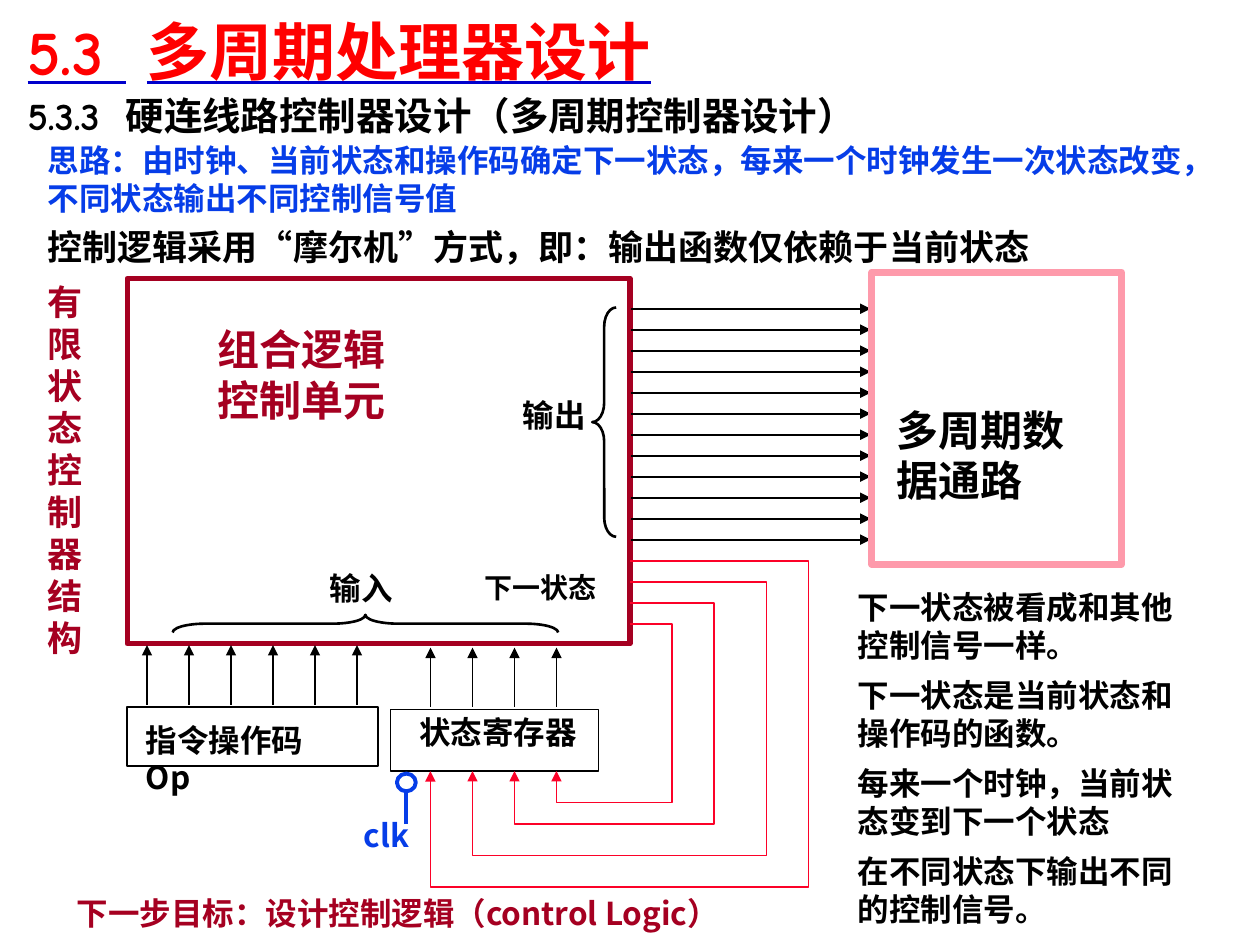
import dataclasses

import pptx
import pptx.dml.color
import pptx.enum.shapes
import pptx.enum.text
import pptx.oxml.ns
import pptx.util
from lxml import etree

COLUMNS, ROWS = 60, 45
SLIDE_WIDTH, SLIDE_HEIGHT = pptx.util.Inches(10), pptx.util.Inches(7.5)
BODY_FONT, HEADING_FONT = "Noto Sans CJK SC", "Comic Neue"
BLACK, CRIMSON, BLUE, RED, PINK = "000000", "A50021", "063DE8", "FC0128", "FE9AAB"
SHAPES = pptx.enum.shapes.MSO_SHAPE


@dataclasses.dataclass
class Box:
    """A region measured in grid columns and rows."""
    left: float
    top: float
    width: float
    height: float

    def inner(self, left, top, width, height):
        """Return a box offset from this one's top left corner."""
        return Box(self.left + left, self.top + top, width, height)

    def point(self, column, row):
        """Return the slide position of a point offset from the corner."""
        return across(self.left + column), down(self.top + row)

    def lengths(self):
        """Return left, top, width and height in slide units."""
        return across(self.left), down(self.top), across(self.width), down(self.height)


def across(columns):
    """Convert grid columns to a length."""
    return round(SLIDE_WIDTH * columns / COLUMNS)


def down(rows):
    """Convert grid rows to a length."""
    return round(SLIDE_HEIGHT * rows / ROWS)


def color(value):
    """Convert a hex string to a colour."""
    return pptx.dml.color.RGBColor.from_string(value)


def element(parent, tag, **attributes):
    """Append a drawing element to a parent."""
    return etree.SubElement(parent, pptx.oxml.ns.qn(tag), **attributes)


def style_line(shape, value, width, arrow=None):
    """Set the outline and an optional arrowhead."""
    shape.line.color.rgb = color(value)
    shape.line.width = pptx.util.Pt(width)
    if arrow:
        element(shape.line._get_or_add_ln(), arrow, type="triangle")


def style_run(run, size, value, font):
    """Set the bold font of a run for Latin and Chinese text."""
    run.font.size = pptx.util.Pt(size)
    run.font.bold = True
    run.font.color.rgb = color(value)
    run.font.name = font
    element(run._r.get_or_add_rPr(), "a:ea", typeface=font)


def add_text(slide, box, text, size=18, value=BLACK, font=BODY_FONT, gap=0):
    """Add a wrapped text box with one paragraph per line."""
    shape = slide.shapes.add_textbox(*box.lengths())
    frame = shape.text_frame
    frame.word_wrap = True
    frame.text = text
    for index, paragraph in enumerate(frame.paragraphs):
        if index and gap:
            paragraph.space_before = pptx.util.Pt(gap)
        for run in paragraph.runs:
            style_run(run, size, value, font)
    return shape


def add_outline(slide, box, value, width, preset=SHAPES.RECTANGLE):
    """Add an unfilled preset shape."""
    shape = slide.shapes.add_shape(preset, *box.lengths())
    shape.shadow.inherit = False
    shape.fill.background()
    style_line(shape, value, width)
    return shape


def add_line(slide, start, end, value=BLACK, width=1, arrow=None):
    """Add a straight connector between two points."""
    line = slide.shapes.add_connector(
        pptx.enum.shapes.MSO_CONNECTOR.STRAIGHT, *start, *end)
    style_line(line, value, width, arrow)
    element(line._element.spPr, "a:effectLst")


def add_heading(slide, box, number, title, size, value, spacing, underline=None):
    """Add a section number and its title on one line."""
    shape = add_text(slide, box, number, size, value, HEADING_FONT)
    paragraph = shape.text_frame.paragraphs[0]
    for text in (" ", title):
        run = paragraph.add_run()
        run.text = text
        style_run(run, size, value, HEADING_FONT)
    paragraph.runs[1]._r.get_or_add_rPr().set("spc", str(spacing * 100))
    for run in paragraph.runs:
        if underline:
            run.font.underline = True
            properties = run._r.get_or_add_rPr()
            line_fill = element(properties, "a:uFill")
            element(element(line_fill, "a:solidFill"), "a:srgbClr", val=underline)
            properties.find(pptx.oxml.ns.qn("a:latin")).addprevious(line_fill)
    return shape


def add_header(slide, box):
    """Add the headings and the two introductory statements."""
    title = add_heading(slide, box.inner(0, -0.18, 58.14, 5.1), "5.3",
                        "多周期处理器设计", 36, "FF0000", 12, "0000CC")
    title.text_frame.vertical_anchor = pptx.enum.text.MSO_ANCHOR.MIDDLE
    add_heading(slide, box.inner(0, 4.08, 58.14, 2.34), "5.3.3",
                "硬连线路控制器设计（多周期控制器设计）", 22, BLACK, 7)
    add_text(slide, box.inner(0.96, 6.42, 56.16, 4.26),
             "思路：由时钟、当前状态和操作码确定下一状态，每来一个时钟发生一次状态改变，"
             "不同状态输出不同控制信号值", value=BLUE)
    add_text(slide, box.inner(0.96, 10.44, 51.54, 2.64),
             "控制逻辑采用“摩尔机”方式，即：输出函数仅依赖于当前状态", 20)


def add_control_unit(slide, box):
    """Add the combinational control unit with its labels and braces."""
    add_outline(slide, box, CRIMSON, 3)
    add_text(slide, box.inner(3.72, 1.86, 10.56, 5.46), "组合逻辑控制单元", 24, CRIMSON)
    add_text(slide, box.inner(9.06, 13.56, 4.5, 2.4), "输入")
    label = add_text(slide, box.inner(17.64, 5.28, 5.4, 2.4), "输出")
    label.text_frame.paragraphs[0].alignment = pptx.enum.text.PP_ALIGN.CENTER
    add_text(slide, box.inner(16.44, 13.62, 7.68, 2.22), "下一状态", 16)
    output_box = box.inner(22.14, 1.38, 1.14, 10.92)
    input_box = box.inner(10.92, 7.26, 0.84, 18.36)
    for brace_box, curve, rotation in ((output_box, 0.8, 0), (input_box, 1.84, 90)):
        brace = add_outline(slide, brace_box, BLACK, 1.5, SHAPES.LEFT_BRACE)
        brace.adjustments[0] = curve
        brace.rotation = rotation


def add_register(slide, box, label, label_box, first, count):
    """Add a register with evenly spaced arrows rising from it."""
    add_text(slide, label_box, label)
    add_outline(slide, box, BLACK, 1)
    for index in range(count):
        column = first + 2 * index
        add_line(slide, box.point(column, -2.94), box.point(column, -0.1),
                 arrow="a:headEnd")


def add_datapath(slide, box):
    """Add the datapath and the control signals that enter it."""
    for index in range(12):
        row = 1.74 + index
        add_line(slide, box.point(-11.46, row), box.point(-0.06, row), arrow="a:tailEnd")
    add_outline(slide, box, PINK, 4)
    add_text(slide, box.inner(0.6, 6, 10.08, 5.46), "多周期数据通路", 24)


def add_feedback(slide, box):
    """Add the nested next-state loops back to the state register."""
    loops = ((18, 15.54), (16, 14.04), (13.5, 12.54), (11.5, 11.52))
    for index, (right, bottom) in enumerate(loops):
        entry = 2 * index
        builder = slide.shapes.build_freeform(*box.point(entry, 10.02), scale=1)
        corners = ((entry, bottom), (right, bottom), (right, index), (9.5, index))
        builder.add_line_segments([box.point(*corner) for corner in corners], close=False)
        loop = builder.convert_to_shape()
        loop.shadow.inherit = False
        loop.fill.background()
        style_line(loop, RED, 1, "a:headEnd")


def add_clock(slide, box):
    """Add the clock input of the state register."""
    add_line(slide, box.point(0.42, 2.4), box.point(0.42, 0.78), BLUE, 2.25)
    add_outline(slide, box.inner(0, 0, 0.9, 0.84), BLUE, 2.25, SHAPES.OVAL)
    add_text(slide, box.inner(-2.16, 1.74, 4.98, 2.4), "clk", value=BLUE)


def add_remarks(slide, box):
    """Add the side caption, the remarks and the next goal."""
    add_text(slide, box.inner(0, 0, 3.66, 18.78), "有限状态控制器结构", 20, CRIMSON)
    remarks = ("下一状态被看成和其他控制信号一样。", "下一状态是当前状态和操作码的函数。",
               "每来一个时钟，当前状态变到下一个状态", "在不同状态下输出不同的控制信号。")
    add_text(slide, box.inner(38.58, 14.64, 17.64, 17.34), "\n".join(remarks), gap=7)
    add_text(slide, box.inner(1.38, 29.22, 32.82, 2.4),
             "下一步目标：设计控制逻辑（control Logic）", value=CRIMSON)


def main():
    """Build the slide and save it."""
    presentation = pptx.Presentation()
    presentation.slide_width, presentation.slide_height = SLIDE_WIDTH, SLIDE_HEIGHT
    slide = presentation.slides.add_slide(presentation.slide_layouts[6])
    add_header(slide, Box(0.72, 0, 58.14, 13.08))
    add_control_unit(slide, Box(6.06, 13.26, 23.94, 17.4))
    add_register(slide, Box(6.06, 33.66, 11.94, 2.82), "指令操作码Op",
                 Box(6.36, 34.02, 10.2, 2.94), 0.94, 6)
    add_register(slide, Box(18.6, 33.78, 9.9, 2.94), "状态寄存器",
                 Box(19.38, 33.66, 9.06, 2.4), 1.9, 4)
    add_datapath(slide, Box(41.52, 12.96, 11.88, 13.92))
    add_feedback(slide, Box(20.5, 26.7, 18, 15.54))
    add_clock(slide, Box(18.9, 36.84, 0.9, 2.4))
    add_remarks(slide, Box(1.68, 13.08, 56.22, 31.98))
    presentation.save("out.pptx")


if __name__ == "__main__":
    main()
